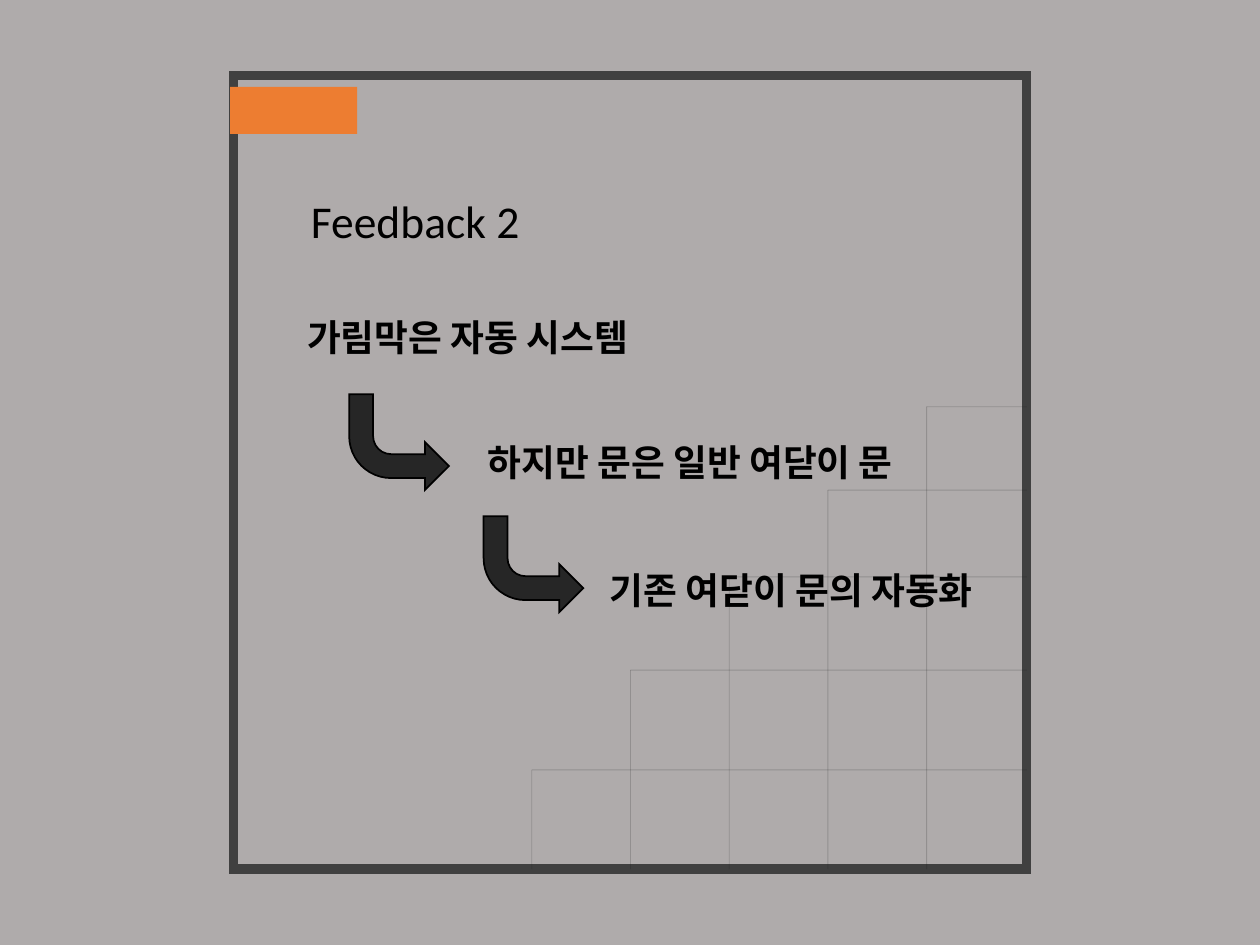
from lxml import etree
from pptx import Presentation
from pptx.dml.color import RGBColor
from pptx.enum.shapes import MSO_CONNECTOR, MSO_SHAPE
from pptx.enum.text import MSO_ANCHOR, MSO_AUTO_SIZE
from pptx.oxml.ns import qn
from pptx.util import Cm, Pt

STRAIGHT = MSO_CONNECTOR.STRAIGHT
RECTANGLE, BENT_ARROW = MSO_SHAPE.RECTANGLE, MSO_SHAPE.BENT_ARROW
TOP, MIDDLE = MSO_ANCHOR.TOP, MSO_ANCHOR.MIDDLE
FIT_SHAPE = MSO_AUTO_SIZE.SHAPE_TO_FIT_TEXT

COLOURS = {
    "background": "AFABAB",
    "frame": "404040",
    "accent": "ED7D31",
    "grid": "181717",
    "arrow": "262626",
    "ink": "000000",
}
LATIN, KOREAN = "Calibri", "Noto Sans CJK KR"


class FeedbackSlide:
    """Hold the deck style and the slide being drawn."""

    def __init__(self, deck):
        self.slide = deck.slides.add_slide(deck.slide_layouts[6])
        self.shapes = self.slide.shapes
        self.paint(self.slide.background.fill, "background")

    def paint(self, fill, colour):
        fill.solid()
        fill.fore_color.rgb = RGBColor.from_string(COLOURS[colour])

    def outline(self, shape, colour, width):
        self.paint(shape.line.fill, colour)
        shape.line.width = Pt(width)
        stroke = shape._element.spPr.find(qn("a:ln"))
        etree.SubElement(stroke, qn("a:miter"), lim="800000")

    def preset(self, kind, left, top, width, height):
        shape = self.shapes.add_shape(kind, Cm(left), Cm(top), Cm(width), Cm(height))
        shape.shadow.inherit = False
        return shape

    def frame(self, left, top, side):
        border = self.preset(RECTANGLE, left, top, side, side)
        border.fill.background()
        self.outline(border, "frame", 5.25)

    def block(self, left, top, width, height):
        tile = self.preset(RECTANGLE, left, top, width, height)
        self.paint(tile.fill, "accent")
        tile.line.fill.background()

    def grid_line(self, x1, y1, x2, y2):
        rule = self.shapes.add_connector(STRAIGHT, Cm(x1), Cm(y1), Cm(x2), Cm(y2))
        self.outline(rule, "grid", 0.5)
        properties = rule._element.spPr
        tint = next(properties.iter(qn("a:srgbClr")))
        etree.SubElement(tint, qn("a:alpha"), val="18000")
        etree.SubElement(properties, qn("a:effectLst"))

    def text(self, left, top, width, height, words, size, font, bold=False, anchor=TOP):
        box = self.shapes.add_textbox(Cm(left), Cm(top), Cm(width), Cm(height))
        frame = box.text_frame
        frame.word_wrap = True
        frame.auto_size = FIT_SHAPE
        frame.vertical_anchor = anchor
        run = frame.paragraphs[0].add_run()
        run.text = words
        run.font.name = font
        run.font.size = Pt(size)
        run.font.bold = bold
        self.paint(run.font.fill, "ink")
        etree.SubElement(run.font._element, qn("a:ea"), typeface=font)

    def arrow(self, left, top):
        bend = self.preset(BENT_ARROW, left, top, 2.01, 1.93)
        self.paint(bend.fill, "arrow")
        self.outline(bend, "ink", 1)
        bend._element.spPr.xfrm.set("flipV", "1")


def main():
    deck = Presentation()
    deck.slide_width, deck.slide_height = Cm(25.4), Cm(19.05)
    page = FeedbackSlide(deck)

    frame_left, frame_top, frame_side = 4.7, 1.52, 16
    page.frame(frame_left, frame_top, frame_side)
    page.block(4.64, 1.75, 2.56, 0.95)

    right, bottom = frame_left + frame_side, frame_top + frame_side
    for step, y in enumerate((15.52, 13.51, 11.63, 9.88, 8.2)):
        x = 10.72 + 1.99 * step
        page.grid_line(x, y, right, y)
        page.grid_line(x, y, x, bottom)

    page.text(6.02, 3.76, 5.74, 1.37, "Feedback 2", 26, LATIN, anchor=MIDDLE)
    for left, top, width, point in (
        (5.94, 6.22, 12.75, "가림막은 자동 시스템"),
        (9.58, 8.74, 11.13, "하지만 문은 일반 여닫이 문"),
        (12.04, 11.33, 11.13, "기존 여닫이 문의 자동화"),
    ):
        page.text(left, top, width, 1.14, point, 21, KOREAN, bold=True)

    for left, top in ((7.04, 7.95), (9.75, 10.41)):
        page.arrow(left, top)

    deck.save("out.pptx")


if __name__ == "__main__":
    main()
